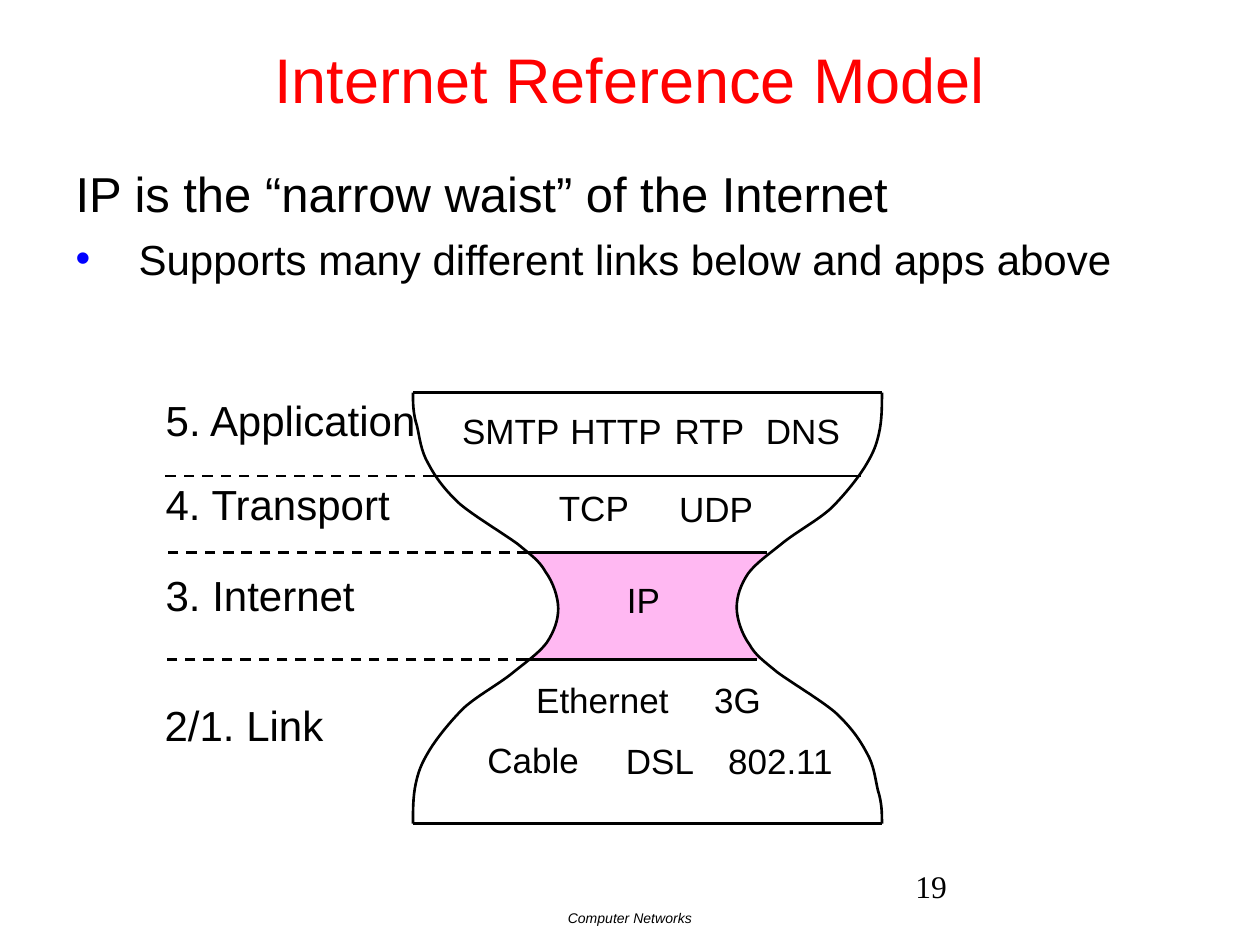
from lxml.etree import SubElement
from pptx import Presentation
from pptx.dml.color import RGBColor
from pptx.enum.dml import MSO_LINE
from pptx.enum.shapes import MSO_CONNECTOR, MSO_SHAPE
from pptx.enum.text import MSO_ANCHOR, MSO_AUTO_SIZE as FIT, PP_ALIGN
from pptx.oxml.ns import qn
from pptx.util import Pt

BLACK, WHITE, RED, BLUE, PINK = "000000", "FFFFFF", "FF0000", "0000FF", "FFB8F2"

# Left edge of the hourglass, bottom to top: a start, then Bezier triples.
EDGE = [
    (236, 470.6), (236, 463), (236, 455), (237.6, 447.8),
    (239, 441.4), (240.5, 437), (244.8, 429.8),
    (249, 422.6), (257, 412.6), (265, 404.6),
    (273, 397.4), (285, 391), (293, 384.5),
    (301, 378), (308.2, 373), (312.5, 367.2),
    (316.8, 360.7), (319, 354.2), (319, 347.8),
    (319, 341.3), (316, 332.6), (311.8, 326.9),
    (308.2, 320.4), (303.8, 317.5), (296, 311),
    (287.3, 304.6), (271.4, 295.2), (262.8, 288),
    (254.2, 280), (249, 273), (244.8, 265),
    (240.5, 257.8), (239.8, 249.8), (238.3, 243.4),
    (236, 236.2), (236, 230.4), (236, 224.4),
]
MID = (370, 347.5)
# Labels: text, left, top, width
LAYERS = [("5. Application", 87.6, 222, 159), ("4. Transport", 87.6, 270, 144),
          ("3. Internet", 87.6, 322, 124), ("2/1. Link", 87, 396, 106)]
NAMES = [("SMTP", 257, 230.4, 70.6), ("HTTP", 318.8, 230.4, 67.7),
         ("RTP", 378.5, 230.4, 54.7), ("DNS", 430.6, 230.4, 57.6),
         ("TCP", 312.3, 274.5, 54.7), ("UDP", 381, 275, 57.6),
         ("IP", 351.2, 327, 33.8), ("Ethernet", 299.3, 384, 90.7),
         ("3G", 401, 384, 41.8), ("Cable", 271.4, 418.6, 67.7),
         ("DSL", 350.6, 419, 54), ("802.11", 409, 419, 74.9)]
# Borders between layers: y, left end, right end
BORDERS = [(272, 247.7, 491.8), (315.8, 301.7, 438.5), (376.8, 301, 432.7)]


def color(code):
    return RGBColor.from_string(code)


class Canvas:
    def __init__(self, slide, face="Arial", width=1.5):
        self.slide, self.face, self.width = slide, face, width
        self.shapes = slide.shapes

    def style(self, para, size, hue=BLACK, face=None, italic=False):
        for run in para.runs:
            font = run.font
            font.name, font.size, font.italic = face or self.face, Pt(size), italic
            font.color.rgb = color(hue)

    def place(self, shape, x, y, w, h):
        shape.left, shape.top, shape.width, shape.height = map(Pt, (x, y, w, h))

    def title(self, text):
        shape = self.shapes.title
        self.place(shape, 0, 0, 720, 90)
        frame = shape.text_frame
        frame.text, frame.vertical_anchor = text, MSO_ANCHOR.MIDDLE
        frame.paragraphs[0].alignment = PP_ALIGN.CENTER
        self.style(frame.paragraphs[0], 36, RED)

    def body(self, lead, point):
        shape = self.slide.placeholders[1]
        self.place(shape, 36, 90, 648, 383)
        frame = shape.text_frame
        frame.text = lead
        first, item = frame.paragraphs[0], frame.add_paragraph()
        first.space_before = Pt(0)
        props = first._p.get_or_add_pPr()
        props.set("marL", "0")
        props.set("indent", "0")
        SubElement(props, qn("a:buNone"))
        self.style(first, 28)
        item.text, item.level, item.space_before = point, 1, Pt(6)
        props = item._p.get_or_add_pPr()
        props.set("marL", str(Pt(36)))
        props.set("indent", str(-Pt(36)))
        tint = SubElement(props, qn("a:buClr"))
        SubElement(tint, qn("a:srgbClr"), val=BLUE)
        SubElement(props, qn("a:buChar"), char="•")
        self.style(item, 24)

    def text(self, text, x, y, w, h, size, align=PP_ALIGN.LEFT, **look):
        frame = self.shapes.add_textbox(Pt(x), Pt(y), Pt(w), Pt(h)).text_frame
        frame.text, frame.word_wrap = text, True
        frame.paragraphs[0].alignment = align
        self.style(frame.paragraphs[0], size, **look)
        return frame

    def label(self, text, x, y, w, size):
        """Add one line of text in a box that grows and never wraps."""
        frame = self.text(text, x, y, w, size * 1.2 + 7.2, size)
        frame.word_wrap, frame.auto_size = False, FIT.SHAPE_TO_FIT_TEXT

    def rect(self, x, y, w, h, fill):
        shape = self.shapes.add_shape(MSO_SHAPE.RECTANGLE, Pt(x), Pt(y), Pt(w), Pt(h))
        shape.shadow.inherit = False
        shape.fill.solid()
        shape.fill.fore_color.rgb = color(fill)
        shape.line.fill.background()

    def curve(self, points, fill):
        """Draw an open outline of cubic curves through every third point."""
        dots = [(Pt(x), Pt(y)) for x, y in points]
        maker = self.shapes.build_freeform(*dots[0])
        maker.add_line_segments(dots[1:], close=False)
        shape = maker.convert_to_shape()
        steps = list(shape._element.iter(qn("a:lnTo")))
        track = steps[0].getparent()
        for i in range(0, len(steps), 3):
            bend = SubElement(track, qn("a:cubicBezTo"))
            for step in steps[i:i + 3]:
                bend.append(step[0])
                track.remove(step)
        shape.shadow.inherit = False
        shape.fill.solid()
        shape.fill.fore_color.rgb = color(fill)
        self.ink(shape.line)

    def line(self, x1, x2, y, dash=False):
        link = self.shapes.add_connector(
            MSO_CONNECTOR.STRAIGHT, Pt(x1), Pt(y), Pt(x2), Pt(y))
        self.ink(link.line)
        if dash:
            link.line.dash_style = MSO_LINE.DASH
        SubElement(link._element.spPr, qn("a:effectLst"))

    def ink(self, line):
        line.color.rgb, line.width = color(BLACK), Pt(self.width)


def main():
    deck = Presentation()
    deck.slide_width, deck.slide_height = Pt(720), Pt(540)
    art = Canvas(deck.slides.add_slide(deck.slide_layouts[1]))
    art.title("Internet Reference Model")
    art.body("IP is the “narrow waist” of the Internet",
             "Supports many different links below and apps above")
    art.text("Computer Networks", 0, 516, 720, 24, 8, PP_ALIGN.CENTER, italic=True)
    art.text("19", 516, 492, 150, 36, 18, face="Times New Roman")

    art.rect(299.5, 315.4, 139, 61.2, PINK)
    # The right edge is the left one turned half round the middle.
    art.curve([(2 * MID[0] - x, 2 * MID[1] - y) for x, y in EDGE], WHITE)
    art.curve(EDGE, WHITE)
    for y in (EDGE[0][1], EDGE[-1][1]):
        art.line(236, 504, y)
    for y, left, right in BORDERS:
        art.line(left, right, y)
        art.line(left, 93, y, dash=True)
    for size, labels in ((24, LAYERS), (20, NAMES)):
        for name, x, y, w in labels:
            art.label(name, x, y, w, size)
    deck.save("out.pptx")


if __name__ == "__main__":
    main()
